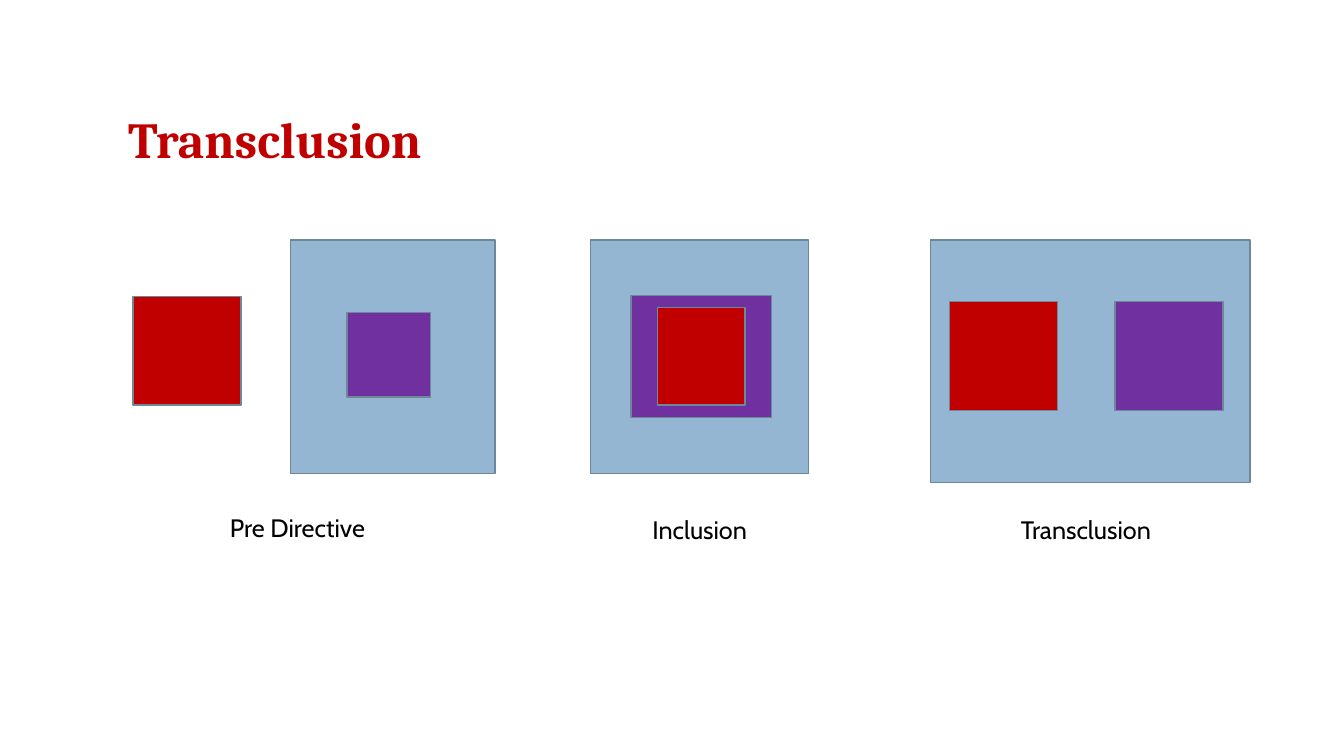
from dataclasses import dataclass

from pptx import Presentation
from pptx.dml.color import RGBColor
from pptx.enum.shapes import MSO_SHAPE
from pptx.enum.text import MSO_ANCHOR, PP_ALIGN
from pptx.shapes.base import BaseShape
from pptx.slide import Slide
from pptx.text.text import TextFrame
from pptx.util import Inches, Pt


@dataclass(frozen=True)
class Theme:
    red: str = "C00000"
    purple: str = "7030A0"
    blue: str = "94B6D2"
    outline: str = "6D879B"
    black: str = "000000"
    title_font: str = "Cambria"
    body_font: str = "Cabin"
    title_size: float = 36
    label_size: float = 18
    line_width: float = 1


@dataclass(frozen=True)
class Block:
    left: float
    top: float
    width: float
    height: float
    color: str


@dataclass(frozen=True)
class Diagram:
    label: str
    label_left: float
    label_top: float
    blocks: tuple[Block, ...]


THEME = Theme()
LABEL_WIDTH, LABEL_HEIGHT = 3.26, 0.4

# Blocks run from back to front
DIAGRAMS = (
    Diagram("Pre Directive", 1.32, 5.03, (
        Block(1.32, 2.94, 1.07, 1.08, THEME.red),
        Block(2.88, 2.38, 2.03, 2.32, THEME.blue),
        Block(3.44, 3.1, 0.83, 0.84, THEME.purple),
    )),
    Diagram("Inclusion", 5.31, 5.05, (
        Block(5.86, 2.38, 2.16, 2.32, THEME.blue),
        Block(6.26, 2.93, 1.39, 1.21, THEME.purple),
        Block(6.52, 3.05, 0.87, 0.97, THEME.red),
    )),
    Diagram("Transclusion", 9.14, 5.05, (
        Block(9.23, 2.38, 3.17, 2.41, THEME.blue),
        Block(9.42, 2.99, 1.07, 1.08, THEME.red),
        Block(11.06, 2.99, 1.07, 1.08, THEME.purple),
    )),
)


def write_text(frame: TextFrame, text: str, *, font: str, size: float, color: str,
               bold: bool = False, align: PP_ALIGN = PP_ALIGN.LEFT,
               anchor: MSO_ANCHOR = MSO_ANCHOR.TOP, line_spacing: float = 1.0) -> None:
    frame.word_wrap = True
    frame.vertical_anchor = anchor
    para = frame.paragraphs[0]
    para.alignment = align
    para.line_spacing = line_spacing
    span = para.add_run()
    span.text = text
    span.font.name = font
    span.font.size = Pt(size)
    span.font.bold = bold
    span.font.color.rgb = RGBColor.from_string(color)


def place(shape: BaseShape, left: float, top: float, width: float, height: float) -> None:
    shape.left, shape.top = Inches(left), Inches(top)
    shape.width, shape.height = Inches(width), Inches(height)


def draw_title(page: Slide, text: str) -> None:
    title = page.shapes.title
    place(title, 1.17, 0.53, 11, 1.76)
    write_text(title.text_frame, text, font=THEME.title_font, size=THEME.title_size,
               color=THEME.red, bold=True, anchor=MSO_ANCHOR.MIDDLE, line_spacing=0.9)


def draw_diagram(page: Slide, diagram: Diagram) -> None:
    # Coloured blocks
    for block in diagram.blocks:
        shape = page.shapes.add_shape(
            MSO_SHAPE.RECTANGLE, Inches(block.left), Inches(block.top),
            Inches(block.width), Inches(block.height))
        shape.shadow.inherit = False
        shape.fill.solid()
        shape.fill.fore_color.rgb = RGBColor.from_string(block.color)
        shape.line.color.rgb = RGBColor.from_string(THEME.outline)
        shape.line.width = Pt(THEME.line_width)

    # Label below
    box = page.shapes.add_textbox(
        Inches(diagram.label_left), Inches(diagram.label_top),
        Inches(LABEL_WIDTH), Inches(LABEL_HEIGHT))
    write_text(box.text_frame, diagram.label, font=THEME.body_font,
               size=THEME.label_size, color=THEME.black, align=PP_ALIGN.CENTER)


def main() -> None:
    deck = Presentation()
    deck.slide_width, deck.slide_height = Inches(13.33), Inches(7.5)
    page = deck.slides.add_slide(deck.slide_layouts.get_by_name("Title Only"))

    draw_title(page, "Transclusion")
    for diagram in DIAGRAMS:
        draw_diagram(page, diagram)
    deck.save("out.pptx")


if __name__ == "__main__":
    main()
